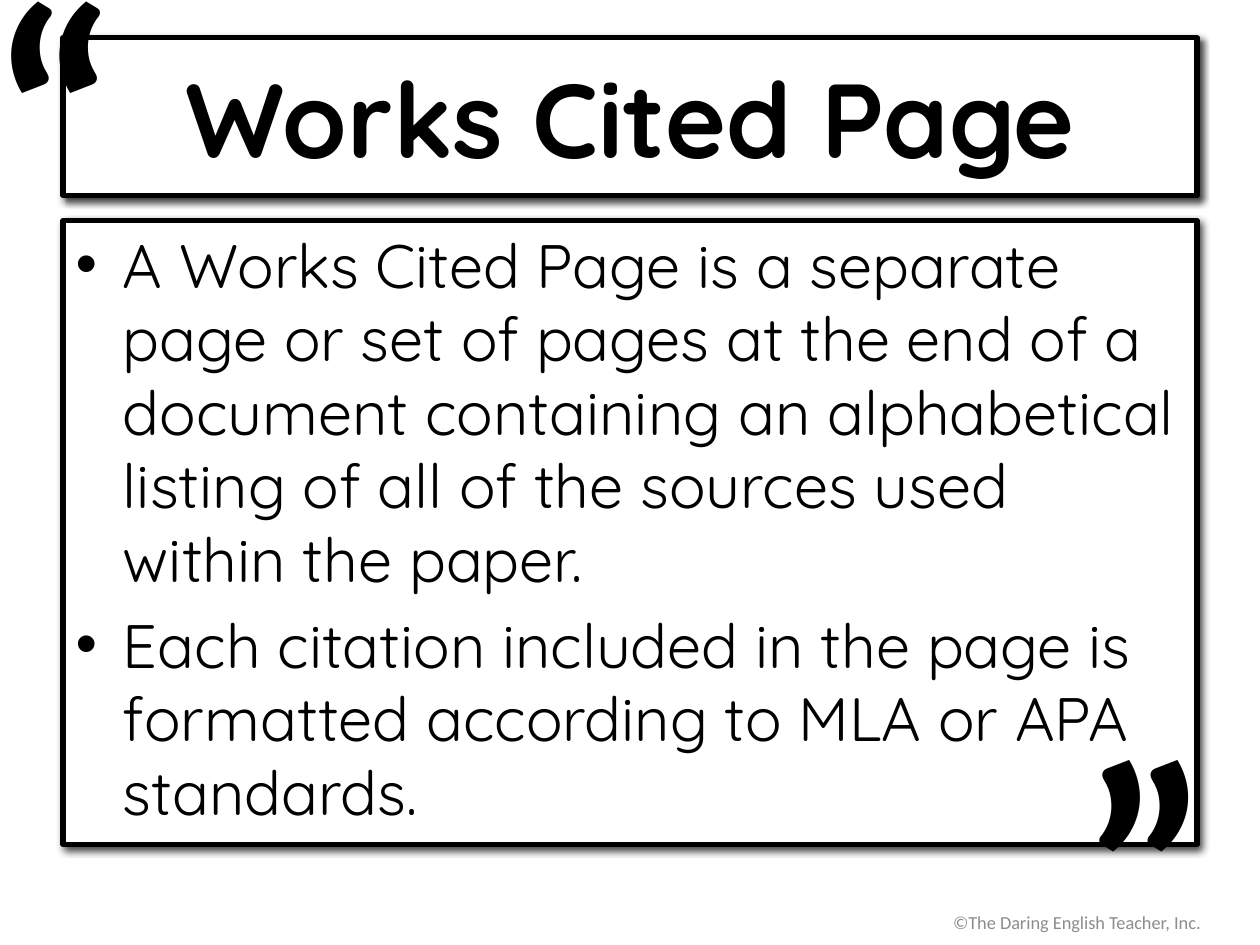
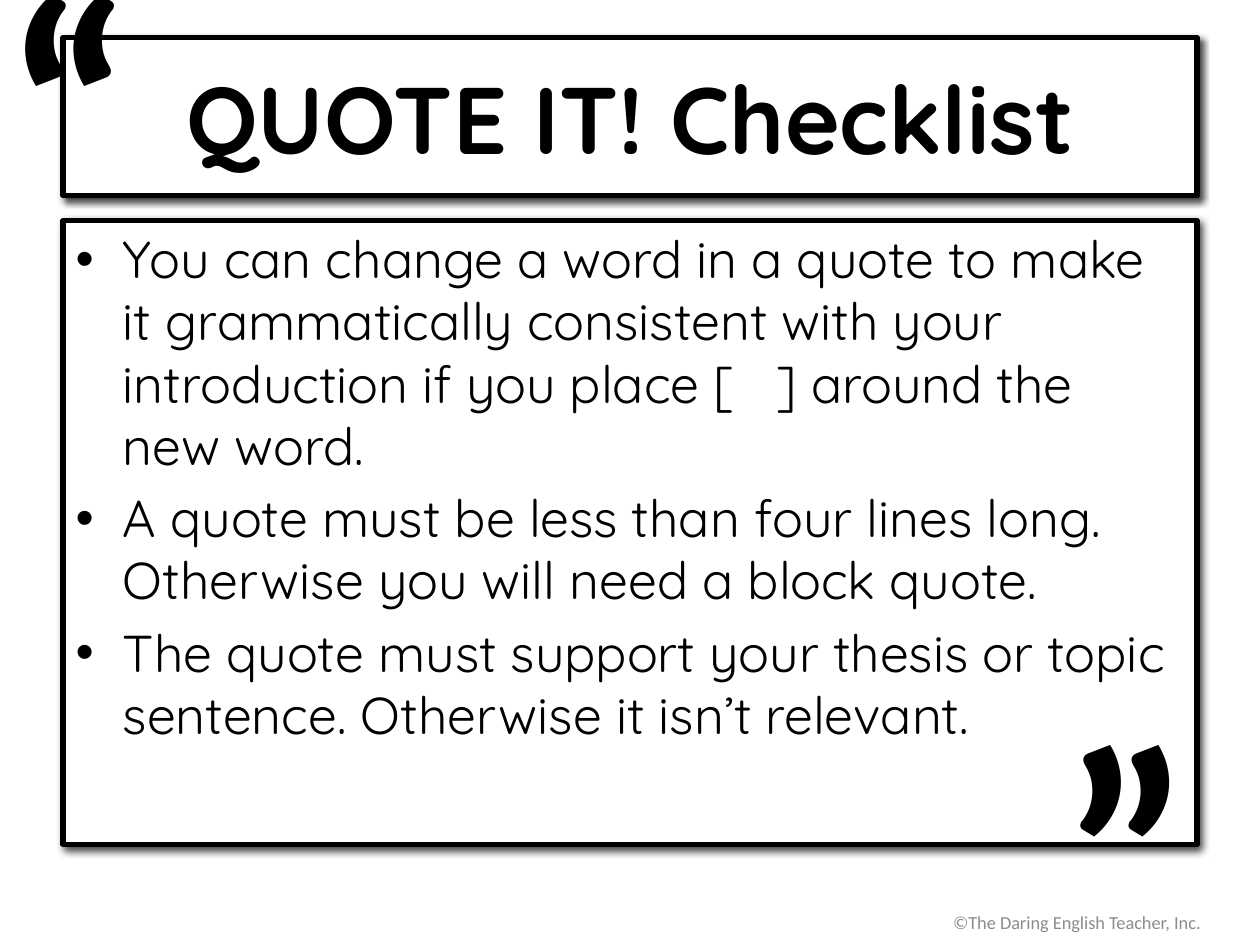
from lxml import etree
from pptx import Presentation
from pptx.dml.color import RGBColor
from pptx.enum.text import MSO_ANCHOR, MSO_AUTO_SIZE, PP_ALIGN
from pptx.oxml.ns import qn
from pptx.util import Cm, Pt

LEFT, CENTER, RIGHT = PP_ALIGN.LEFT, PP_ALIGN.CENTER, PP_ALIGN.RIGHT
TOP, MIDDLE = MSO_ANCHOR.TOP, MSO_ANCHOR.MIDDLE
NO_AUTOFIT = MSO_AUTO_SIZE.NONE

BLACK, WHITE, GREY, TEAL = "000000", "FFFFFF", "8C8C8C", "2CCAAC"
FOOTER = "©The Daring English Teacher, Inc."
FOOTER_AREA = (18.54, 18.08, 5.92, 1.02)
TITLE_AREA = (1.27, 0.76, 22.86, 3.18)
BODY_AREA = (1.27, 4.45, 22.86, 12.57)
OPENING_SIZE, CLOSING_SIZE = (6.73, 7.34), (5.69, 7.34)

SLIDES = [
    {
        "title": "Works Cited Page",
        "title_size": 60,
        "points": [
            "A Works Cited Page is a separate page or set of pages at the end of a "
            "document containing an alphabetical listing of all of the sources used "
            "within the paper.",
            "Each citation included in the page is formatted according to MLA or APA "
            "standards.",
        ],
        "body_size": 35,
        "closing": (21.67, 13.87),
        "opening": (-0.25, -1.37),
    },
    {
        "title": "QUOTE IT! Checklist",
        "title_size": 54,
        "points": [
            "You can change a word in a quote to make it grammatically consistent with "
            "your introduction if you place [   ] around the new word.",
            "A quote must be less than four lines long. Otherwise you will need a block "
            "quote.",
            "The quote must support your thesis or topic sentence. Otherwise it isn’t "
            "relevant.",
        ],
        "body_size": 29.6,
        "closing": (21.29, 13.56),
        "opening": (0.03, -1.52),
    },
]


def color(value):
    return RGBColor.from_string(value)


def place(box, area):
    box.left, box.top, box.width, box.height = (Cm(length) for length in area)


def write(box, lines, font, size, ink=BLACK, bold=False, align=LEFT, anchor=TOP):
    frame = box.text_frame
    frame.word_wrap = True
    frame.auto_size = NO_AUTOFIT
    frame.vertical_anchor = anchor
    frame.text = "\n".join(lines)
    for paragraph in frame.paragraphs:
        paragraph.alignment = align
        paragraph.font.name = font
        paragraph.font.size = Pt(size)
        paragraph.font.bold = bold
        paragraph.font.color.rgb = color(ink)
    frame.paragraphs[0].space_before = Pt(0)


def frame_panel(panel, area):
    place(panel, area)
    panel.fill.solid()
    panel.fill.fore_color.rgb = color(WHITE)
    panel.line.color.rgb = color(BLACK)
    panel.line.width = Pt(3)
    panel.shadow.inherit = False
    effects = panel._element.spPr.find(qn("a:effectLst"))
    shadow = etree.SubElement(
        effects, qn("a:outerShdw"), blurRad=str(Pt(4)), dist=str(Pt(3)),
        dir=str(49 * 60000), algn="tl", rotWithShape="0")
    ink = etree.SubElement(shadow, qn("a:srgbClr"), val=BLACK)
    etree.SubElement(ink, qn("a:alpha"), val="72000")


def add_text(page, area, *args, **style):
    box = page.shapes.add_textbox(*(Cm(length) for length in area))
    write(box, *args, **style)
    return box


def add_quote_mark(page, mark, corner, size):
    box = add_text(page, corner + size, [mark], "Lato", 166, bold=True)
    span = box.text_frame.paragraphs[0].runs[0]
    outline = etree.Element(qn("a:ln"), w=str(Pt(4.75)))
    fill = etree.SubElement(outline, qn("a:solidFill"))
    etree.SubElement(fill, qn("a:srgbClr"), val=TEAL)
    span._r.get_or_add_rPr().insert(0, outline)


def add_page(deck, content):
    page = deck.slides.add_slide(deck.slide_layouts[1])
    title, body = page.placeholders
    frame_panel(title, TITLE_AREA)
    write(title, [content["title"]], "Quicksand", content["title_size"],
          bold=True, align=CENTER, anchor=MIDDLE)
    frame_panel(body, BODY_AREA)
    write(body, content["points"], "Quicksand", content["body_size"])
    add_quote_mark(page, "”", content["closing"], CLOSING_SIZE)
    add_quote_mark(page, "“", content["opening"], OPENING_SIZE)
    add_text(page, FOOTER_AREA, [FOOTER], "Calibri", 10.5, ink=GREY,
             align=RIGHT, anchor=MIDDLE)


def main():
    """Build the quotation lesson slides and save the deck."""
    deck = Presentation()
    deck.slide_width, deck.slide_height = Cm(25.4), Cm(19.05)
    for content in SLIDES:
        add_page(deck, content)
    deck.save("out.pptx")


if __name__ == "__main__":
    main()
